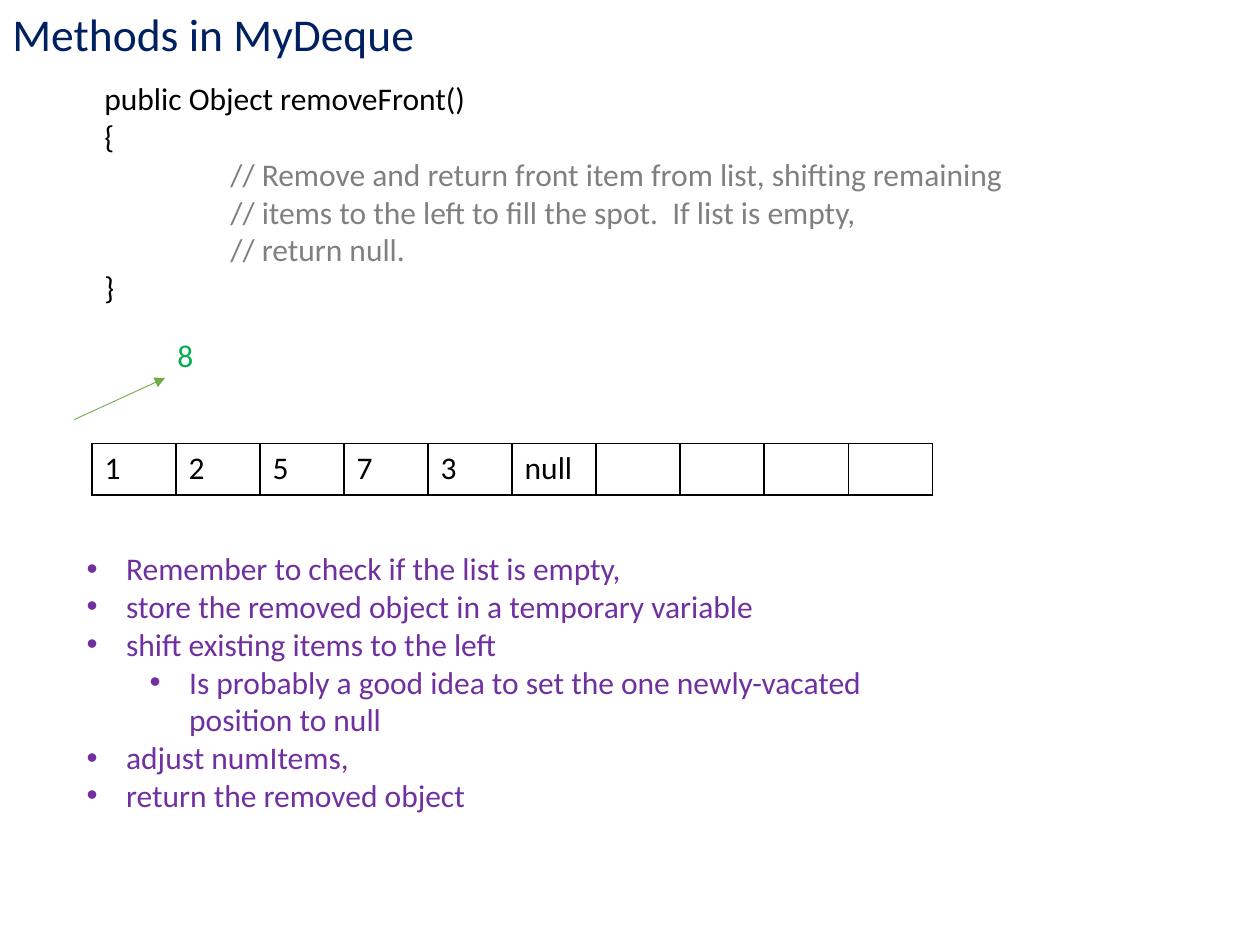
from lxml import etree
from pptx import Presentation
from pptx.dml.color import RGBColor
from pptx.enum.shapes import MSO_CONNECTOR
from pptx.enum.text import MSO_ANCHOR
from pptx.oxml.ns import qn
from pptx.util import Inches, Pt

STRAIGHT = MSO_CONNECTOR.STRAIGHT
TOP = MSO_ANCHOR.TOP
UNIT = Inches(0.1)
COLUMNS, ROWS = 100, 75
FONT = "Calibri"
BODY_SIZE = 18
COLORS = {
    "title": "002060",
    "code": "000000",
    "comment": "808080",
    "steps": "7030A0",
    "removed": "00B050",
    "arrow": "70AD47",
    "border": "000000",
}

CODE = [
    (1, "code", "public Object removeFront()"),
    (1, "code", "{"),
    (2, "comment", "// Remove and return front item from list, shifting remaining"),
    (2, "comment", "// items to the left to fill the spot.  If list is empty,"),
    (2, "comment", "// return null."),
    (1, "code", "}"),
]
STEPS = [
    (0, "Remember to check if the list is empty, "),
    (0, "store the removed object in a temporary variable"),
    (0, "shift existing items to the left "),
    (1, "Is probably a good idea to set the one newly-vacated position to null"),
    (0, "adjust numItems,"),
    (0, "return the removed object"),
]
ITEMS = ["1", "2", "5", "7", "3", "null", "", "", "", ""]


def grid(*cells):
    return [round(cell * UNIT) for cell in cells]


def write(paragraph, text, color, size=BODY_SIZE):
    run = paragraph.add_run()
    run.text = text
    run.font.name = FONT
    run.font.size = Pt(size)
    run.font.color.rgb = RGBColor.from_string(COLORS[color])


def indent(paragraph, margin, hanging=0, bullet=None):
    props = paragraph._p.get_or_add_pPr()
    props.set("marL", str(round(margin * UNIT)))
    props.set("indent", str(round(-hanging * UNIT)))
    if bullet:
        etree.SubElement(props, qn("a:buFont"), typeface="Arial")
        etree.SubElement(props, qn("a:buChar"), char=bullet)


def add_paragraphs(slide, box, count):
    frame = slide.shapes.add_textbox(*grid(*box)).text_frame
    frame.word_wrap = True
    return [frame.paragraphs[0]] + [frame.add_paragraph() for _ in range(count - 1)]


def add_label(slide, box, text, color, size=BODY_SIZE):
    write(add_paragraphs(slide, box, 1)[0], text, color, size)


def add_code(slide, box):
    for paragraph, (depth, color, text) in zip(add_paragraphs(slide, box, len(CODE)), CODE):
        indent(paragraph, 10 * depth)
        write(paragraph, text, color)


def add_steps(slide, box):
    for paragraph, (level, text) in zip(add_paragraphs(slide, box, len(STEPS)), STEPS):
        paragraph.level = level
        indent(paragraph, 3.13 + 5 * level, 3.13, "•")
        write(paragraph, text, "steps")


def outline(cell):
    props = cell._tc.get_or_add_tcPr()
    for position, side in enumerate(("a:lnL", "a:lnR", "a:lnT", "a:lnB")):
        line = etree.Element(qn(side), w=str(Pt(1)))
        fill = etree.SubElement(line, qn("a:solidFill"))
        etree.SubElement(fill, qn("a:srgbClr"), val=COLORS["border"])
        props.insert(position, line)


def add_deque(slide, box):
    left, top, width, height = grid(*box)
    table = slide.shapes.add_table(1, len(ITEMS), left, top, width, height).table
    table.first_row = False
    table.horz_banding = False
    for column, item in zip(table.columns, ITEMS):
        column.width = width // len(ITEMS)
    for cell, item in zip(table.rows[0].cells, ITEMS):
        cell.fill.background()
        cell.vertical_anchor = TOP
        outline(cell)
        if item:
            write(cell.text_frame.paragraphs[0], item, "code")


def add_removed_item(slide, box):
    left, top, width, height = box
    arrow_width, arrow_top = 7.2, 3.8
    tip = left + arrow_width
    arrow = slide.shapes.add_connector(
        STRAIGHT, *grid(left, top + height, tip, top + arrow_top))
    arrow.line.color.rgb = RGBColor.from_string(COLORS["arrow"])
    arrow.line.width = Pt(0.5)
    etree.SubElement(arrow.line._get_or_add_ln(), qn("a:tailEnd"), type="triangle")
    etree.SubElement(arrow._element.spPr, qn("a:effectLst"))
    add_label(slide, (tip, top, width - arrow_width, 4), "8", "removed")


def build_slide(presentation):
    slide = presentation.slides.add_slide(presentation.slide_layouts[6])
    add_label(slide, (0, 0, 89, 5.4), "Methods in MyDeque ", "title", 26)
    add_code(slide, (-2.7, 5.8, 83.8, 22.2))
    add_steps(slide, (5.9, 43.1, 69.4, 22.2))
    add_deque(slide, (7.3, 35.2, 66.7, 4.1))
    add_removed_item(slide, (5.9, 26.2, 13, 7.1))


presentation = Presentation()
presentation.slide_width, presentation.slide_height = grid(COLUMNS, ROWS)
build_slide(presentation)
presentation.save("out.pptx")
